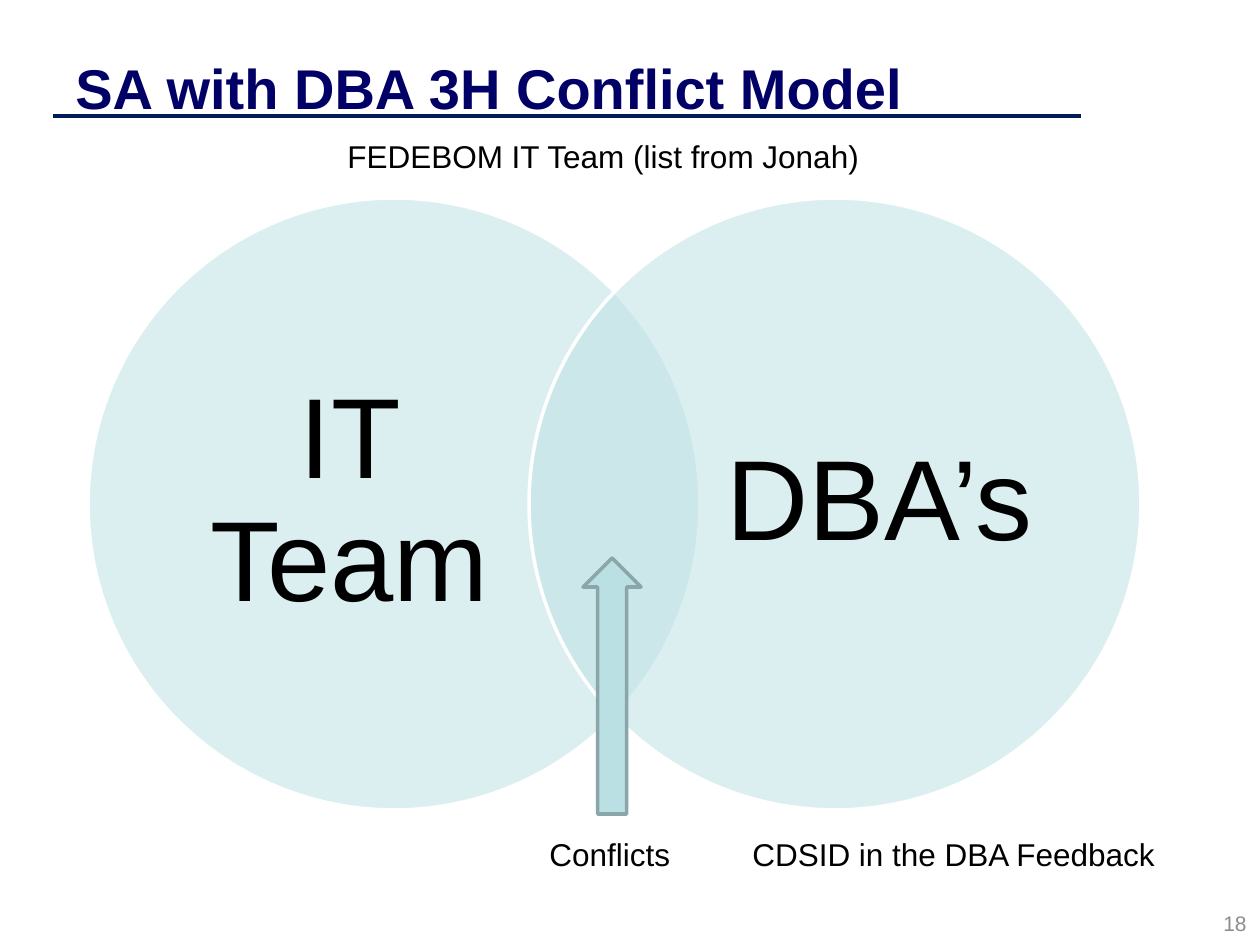
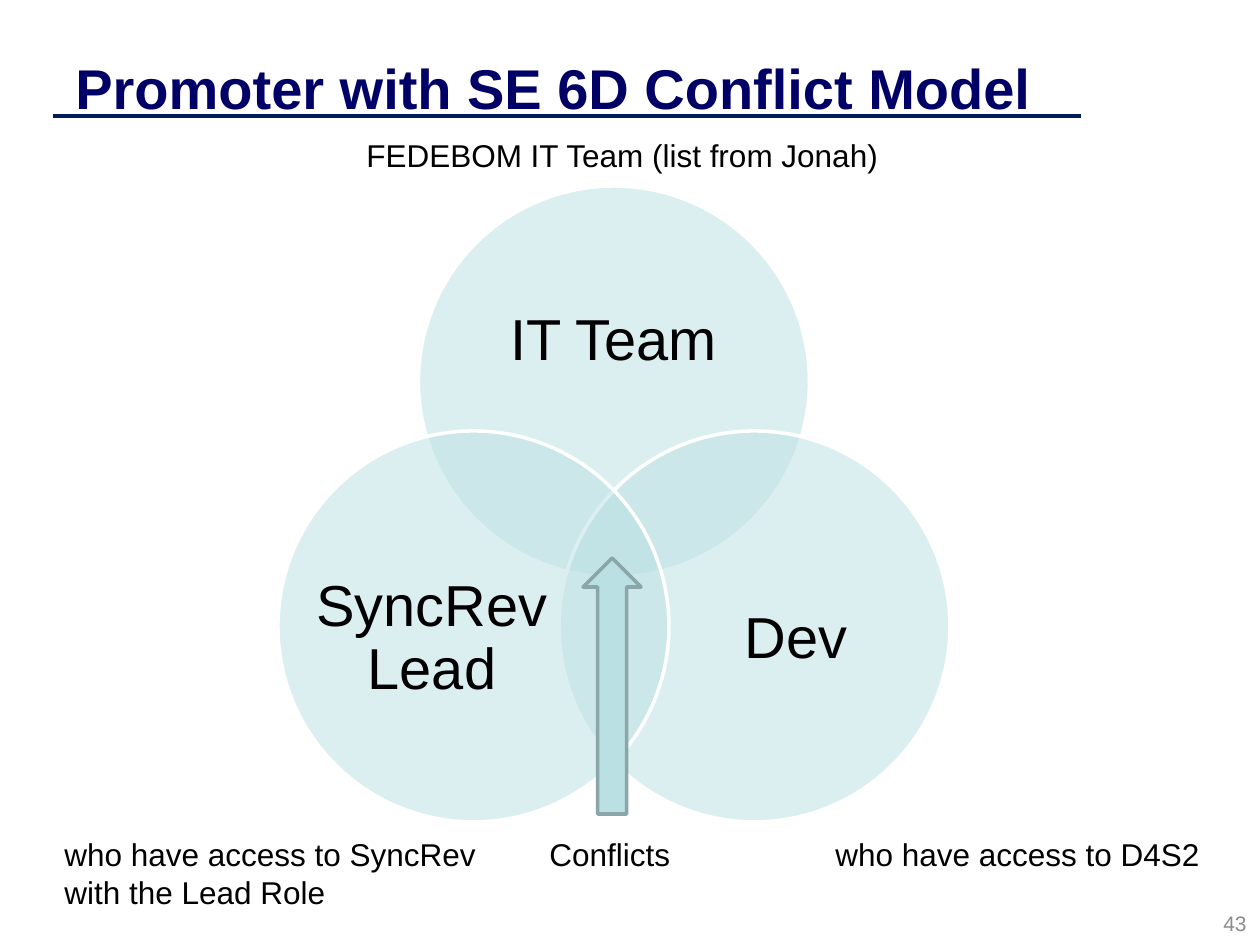
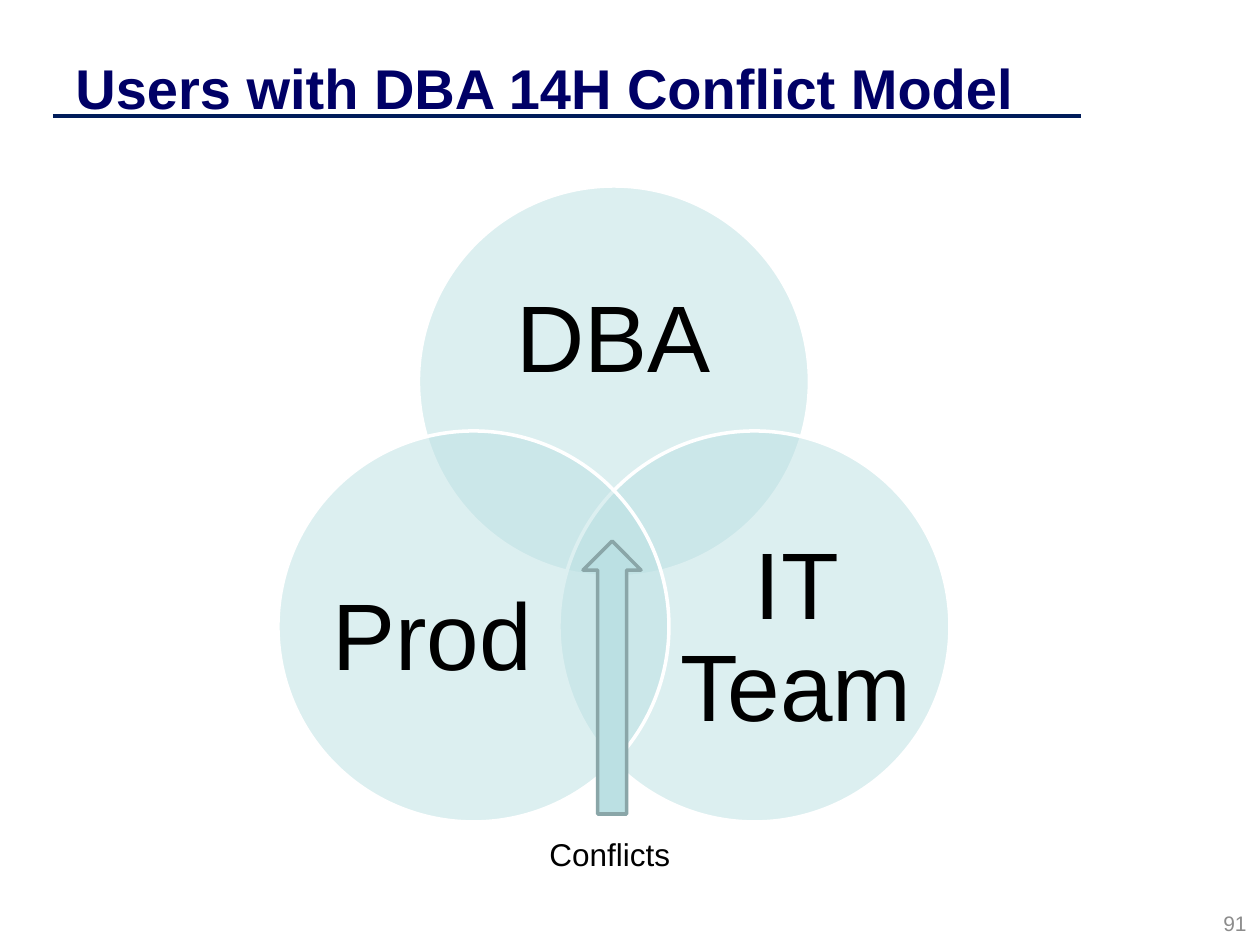
from dataclasses import dataclass

from lxml import etree
from pptx import Presentation
from pptx import util as u
from pptx.dml.color import RGBColor
from pptx.enum import shapes, text
from pptx.oxml.ns import qn


@dataclass(frozen=True)
class Theme:
    font: str = "Arial"
    title: str = "000066"
    rule: str = "001C5A"
    ink: str = "000000"
    grey: str = "8C8C8C"
    teal: str = "BBE0E3"
    edge: str = "8AA6A8"
    white: str = "FFFFFF"
    head: int = 32
    body: int = 18
    foot: int = 12
    stroke: int = 2


T = Theme()
DPI = 126
LEFT, MID, RIGHT = text.PP_ALIGN.LEFT, text.PP_ALIGN.CENTER, text.PP_ALIGN.RIGHT


def px(n):
    return u.Emu(round(n * u.Inches(1) / DPI))


def rgb(code):
    return RGBColor.from_string(code)


def write(slide, box, words, size, color=T.ink, bold=False, align=LEFT, center=False, tight=False):
    """Put one paragraph in a wrapped text box."""
    frame = slide.shapes.add_textbox(*map(px, box)).text_frame
    frame.word_wrap = True
    if center:
        frame.vertical_anchor = text.MSO_ANCHOR.MIDDLE
    para = frame.paragraphs[0]
    para.text, para.alignment = words, align
    if tight:
        frame.margin_left = frame.margin_right = frame.margin_top = frame.margin_bottom = 0
        para.line_spacing = 0.9
    font = para.font
    font.name, font.size, font.bold = T.font, u.Pt(size), bold
    font.color.rgb = rgb(color)


def draw(slide, kind, box, line, alpha=None):
    """Add a teal shape, see-through if alpha is given in percent."""
    shape = slide.shapes.add_shape(kind, *map(px, box))
    shape.shadow.inherit = False
    shape.fill.solid()
    shape.fill.fore_color.rgb = rgb(T.teal)
    shape.line.color.rgb = rgb(line)
    shape.line.width = u.Pt(T.stroke)
    if alpha:
        tint = shape.fill._xPr.find(qn("a:solidFill"))[0]
        etree.SubElement(tint, qn("a:alpha"), val=str(alpha * 1000))
    return shape


def circle(slide, x, y, size, inner, word, points):
    """Draw one set; inner is its text area relative to the circle."""
    draw(slide, shapes.MSO_SHAPE.OVAL, (x, y, size, size), T.white, alpha=50)
    dx, dy, w, h = inner
    write(slide, (x + dx, y + dy, w, h), word, points, align=MID, center=True, tight=True)


def pair(slide, box, words, points):
    """Two overlapping sets, side by side."""
    x, y, w, size = box
    pad, wide = 85, 353
    dents = (pad, size - pad - wide)
    for left, dent, word in zip((x, x + w - size), dents, words):
        circle(slide, left, y, size, (dent, 72, wide, 467), word, points)


def trio(slide, box, words, points):
    """Three overlapping sets: top, right, left."""
    x, y, w, h = box
    size, pad, wide = 391, 37, 234
    low = y + h - size
    far = size - pad - wide
    spots = (
        (x + (w - size) / 2, y, (52, 68, 286, 176)),
        (x + w - size, low, (far, 101, wide, 215)),
        (x, low, (pad, 101, wide, 215)),
    )
    for (left, top, inner), word in zip(spots, words):
        circle(slide, left, top, size, inner, word, points)


def start(deck, title, page):
    """Add a slide with the shared rule, title and page number."""
    slide = deck.slides.add_slide(deck.slide_layouts[6])
    rule = slide.shapes.add_connector(
        shapes.MSO_CONNECTOR.STRAIGHT, px(53), px(116), px(1081), px(116))
    rule.line.color.rgb = rgb(T.rule)
    rule.line.width = u.Pt(T.stroke)
    etree.SubElement(rule._element.spPr, qn("a:effectLst"))
    write(slide, (63, 38, 1008, 98), title, T.head, T.title, bold=True, center=True)
    write(slide, (965, 902, 294, 43), page, T.foot, T.grey, align=RIGHT, center=True)
    return slide


def notes(slide, tip, labels):
    """Point an arrow up at the overlap and add the labels."""
    base = 814
    arrow = draw(slide, shapes.MSO_SHAPE.DOWN_ARROW, (583, tip, 58, base - tip), T.edge)
    arrow.rotation = 180
    for x, y, w, h, words in [(537, 829, 149, 50, "Conflicts"), *labels]:
        write(slide, (x, y, w, h), words, T.body)


TEAM = "FEDEBOM IT Team (list from Jonah)"
TWO = (88, 198, 1053, 612)
THREE = (278, 186, 672, 636)

# title, page, diagram, its box, set names, type size, arrow tip, labels
SLIDES = [
    ("SA with DBA 3H Conflict Model", "18", pair, TWO, ("IT Team", "DBA’s"), 65, 558, [
        (740, 829, 452, 50, "CDSID in the DBA Feedback"),
        (335, 131, 551, 50, TEAM),
    ]),
    ("Promoter with SE 6D Conflict Model", "43", trio, THREE,
     ("IT Team", "Dev", "SyncRev Lead"), 33, 558, [
         (823, 829, 496, 50, "who have access to D4S2"),
         (52, 829, 485, 89, "who have access to SyncRev with the Lead Role"),
         (354, 130, 551, 50, TEAM),
     ]),
    ("Users with DBA 14H Conflict Model", "91", trio, THREE,
     ("DBA", "IT Team", "Prod"), 54, 541, []),
]


def main():
    deck = Presentation()
    deck.slide_width, deck.slide_height = u.Inches(10), u.Inches(7.5)
    for title, page, venn, box, words, points, tip, labels in SLIDES:
        slide = start(deck, title, page)
        venn(slide, box, words, points)
        notes(slide, tip, labels)
    deck.save("out.pptx")


if __name__ == "__main__":
    main()
